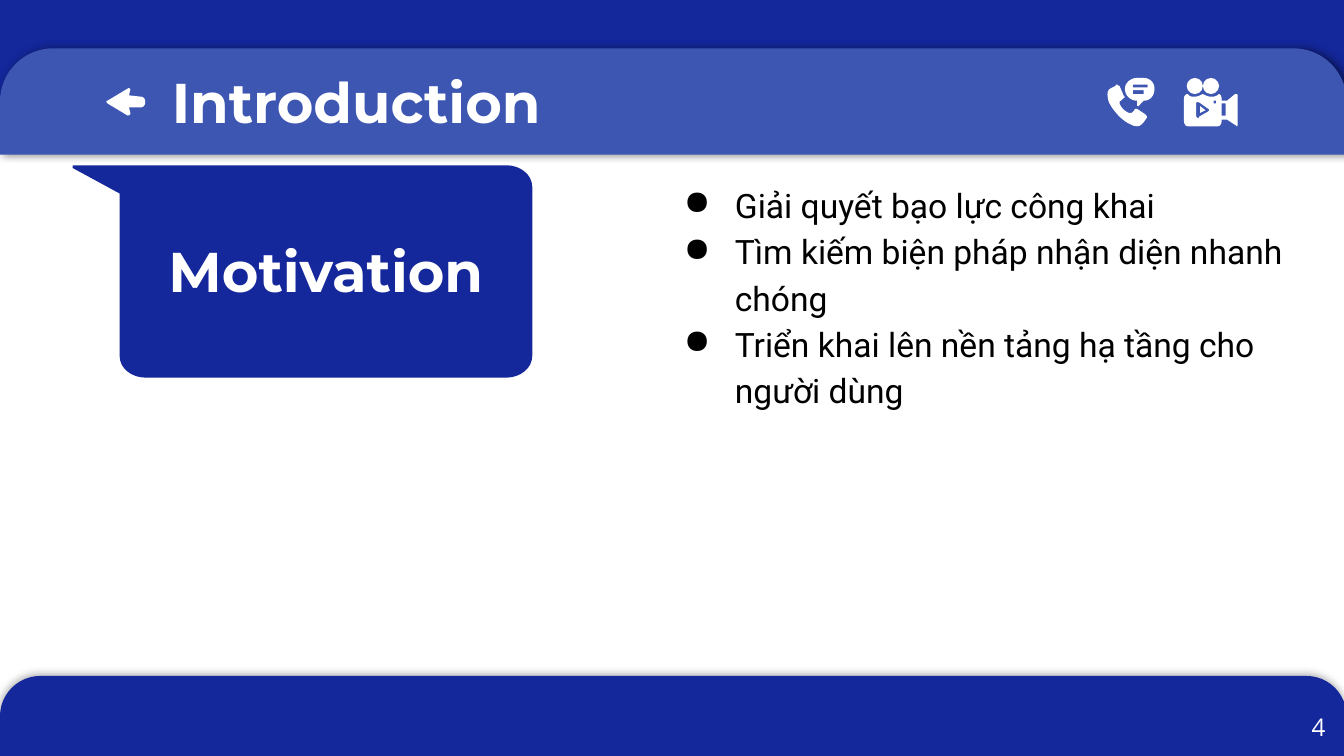
from lxml import etree
from pptx import Presentation
from pptx.dml.color import RGBColor
from pptx.enum.shapes import MSO_SHAPE
from pptx.enum.text import MSO_ANCHOR, PP_ALIGN
from pptx.oxml.ns import qn
from pptx.util import Inches, Pt

RECTANGLE, OVAL = MSO_SHAPE.RECTANGLE, MSO_SHAPE.OVAL
ROUND_TOP = MSO_SHAPE.ROUND_2_SAME_RECTANGLE
TOP, MIDDLE = MSO_ANCHOR.TOP, MSO_ANCHOR.MIDDLE
LEFT, CENTER, RIGHT = PP_ALIGN.LEFT, PP_ALIGN.CENTER, PP_ALIGN.RIGHT

NAVY, BLUE, WHITE, BLACK = "14279B", "3D56B2", "FFFFFF", "000000"
CURVE_STEPS = 8

# Outlines in hundredths of an inch: two numbers are a point, six a Bezier curve
ARROW = [[
    (0, 10), (-1, 10, -1, 11, 0, 12), (15, 21), (16, 21, 16, 21, 17, 20),
    (17, 19), (16, 15), (24, 15), (25, 15, 26, 15, 27, 14),
    (27, 14, 28, 13, 28, 12), (28, 10), (28, 8, 26, 7, 25, 7), (16, 6),
    (17, 2), (17, 1, 16, 0, 15, 1)]]
HANDSET = [[
    (8, 5), (7, 5, 7, 5, 7, 6), (3, 8), (0, 10, 1, 14, 2, 18),
    (5, 24, 11, 31, 17, 34), (19, 35, 21, 36, 23, 36),
    (25, 36, 26, 35, 28, 33), (30, 30), (31, 29, 30, 28, 29, 27), (23, 23),
    (22, 23), (22, 23, 21, 23, 21, 24), (19, 26), (17, 26),
    (14, 25, 11, 22, 10, 19), (10, 18, 10, 17, 11, 17), (13, 15),
    (14, 15, 14, 14, 13, 13), (10, 6), (9, 6, 9, 5, 8, 5)]]
BUBBLE = [
    [(23, 0), (18, 0, 14, 4, 14, 8), (14, 13, 18, 17, 23, 17), (23, 20),
     (23, 20, 23, 21, 24, 21), (28, 17), (33, 17, 36, 13, 36, 8),
     (36, 4, 33, 0, 28, 0)],
    [(20, 5), (31, 5), (31, 7), (20, 7)],
    [(20, 9), (28, 9), (28, 12), (20, 12)]]
CAMERA = [
    [(39, 12), (38, 12), (32, 17), (28, 17), (28, 15),
     (28, 14, 27, 12, 26, 12), (24, 14, 22, 14, 20, 14),
     (18, 14, 16, 13, 14, 12), (12, 13, 10, 14, 8, 14), (6, 14, 4, 14, 3, 12),
     (1, 12, 0, 14, 0, 15), (0, 32), (0, 34, 1, 36, 3, 36), (25, 36),
     (27, 36, 28, 34, 28, 32), (28, 31), (32, 31), (38, 35),
     (39, 35, 39, 36, 39, 36), (40, 36, 40, 35, 40, 34), (40, 13),
     (40, 12, 39, 12, 39, 12)],
    [(22, 17), (24, 17), (24, 19), (22, 19)],
    [(31, 19), (31, 28), (28, 28), (28, 19)],
    [(11, 18), (18, 23), (19, 23, 19, 24, 18, 25), (11, 29),
     (11, 30, 11, 30, 11, 30), (10, 30, 9, 29, 9, 28), (9, 19),
     (9, 18, 10, 18, 11, 18)]]
PLAY = [[(12, 21), (12, 26), (16, 24)]]
CALLOUT = [[
    (1, 0), (1, 0, 0, 0, 0, 1), (0, 2), (35, 21), (35, 142),
    (35, 151, 44, 158, 54, 158), (323, 158), (333, 158, 342, 151, 342, 142),
    (342, 16), (342, 7, 333, 0, 323, 0)]]


def color(value):
    return RGBColor.from_string(value)


def paint(shape, fill):
    shape.fill.solid()
    shape.fill.fore_color.rgb = color(fill)
    shape.line.fill.background()
    shape.shadow.inherit = False


def add_block(slide, kind, left, top, width, height, fill):
    shape = slide.shapes.add_shape(
        kind, Inches(left), Inches(top), Inches(width), Inches(height))
    paint(shape, fill)
    return shape


def add_round_top(slide, left, top, width, height, fill, opacity, direction):
    """Bar with round upper corners and a soft shadow."""
    shape = add_block(slide, ROUND_TOP, left, top, width, height, fill)
    shape.adjustments[0] = 0.5
    effects = shape._element.spPr.find(qn("a:effectLst"))
    shadow = etree.SubElement(
        effects, qn("a:outerShdw"), blurRad=str(Pt(4.5)), dist=str(Pt(1.5)),
        dir=str(direction * 60000), algn="bl", rotWithShape="0")
    shade = etree.SubElement(shadow, qn("a:srgbClr"), val=BLACK)
    etree.SubElement(shade, qn("a:alpha"), val=str(opacity * 1000))


def flatten(contour):
    """Turn points and curves into a list of points."""
    points = []
    for step in contour:
        if len(step) == 2:
            points.append(step)
            continue
        corners = [points[-1], step[:2], step[2:4], step[4:]]
        for index in range(1, CURVE_STEPS + 1):
            t = index / CURVE_STEPS
            weights = ((1 - t) ** 3, 3 * t * (1 - t) ** 2,
                       3 * t * t * (1 - t), t ** 3)
            points.append(tuple(
                sum(w * corner[axis] for w, corner in zip(weights, corners))
                for axis in (0, 1)))
    return points


def add_outline(slide, left, top, contours, fill):
    builder = None
    for contour in contours:
        points = [(Inches(left + x / 100), Inches(top + y / 100))
                  for x, y in flatten(contour)]
        if builder is None:
            builder = slide.shapes.build_freeform(*points[0])
        else:
            builder.move_to(*points[0])
        builder.add_line_segments(points[1:], close=True)
    paint(builder.convert_to_shape(), fill)


def add_text(slide, left, top, width, height, lines, size, font, fill,
             align=LEFT, anchor=TOP, bold=False, bullet=None, spacing=None):
    box = slide.shapes.add_textbox(
        Inches(left), Inches(top), Inches(width), Inches(height))
    frame = box.text_frame
    frame.word_wrap = True
    frame.vertical_anchor = anchor
    frame.margin_left = frame.margin_right = Inches(0.1)
    frame.margin_top = frame.margin_bottom = Inches(0.1)
    for index, line in enumerate(lines):
        paragraph = frame.add_paragraph() if index else frame.paragraphs[0]
        paragraph.alignment = align
        paragraph.line_spacing = spacing
        if bullet:
            properties = paragraph._p.get_or_add_pPr()
            properties.set("marL", str(Inches(0.5)))
            properties.set("indent", str(Inches(-0.38)))
            bullet_color = etree.SubElement(properties, qn("a:buClr"))
            etree.SubElement(bullet_color, qn("a:srgbClr"), val=fill)
            etree.SubElement(properties, qn("a:buChar"), char=bullet)
        run = paragraph.add_run()
        run.text = line
        run.font.size = Pt(size)
        run.font.name = font
        run.font.bold = bold
        run.font.color.rgb = color(fill)


def add_header(slide, left, top, width):
    add_block(slide, RECTANGLE, left, top, width, 1.01, NAVY)
    add_round_top(slide, left, top + 0.36, width, 0.79, BLUE, 49, 0)
    add_text(slide, left + 1.18, top + 0.4, 8.03, 0.63, ["Introduction"],
             30, "Montserrat", WHITE, bold=True)
    add_outline(slide, left + 0.8, top + 0.65, ARROW, WHITE)
    # Phone and camera icons
    icon_top = top + 0.58
    for icon_left, contours in ((8.23, HANDSET), (8.23, BUBBLE),
                                (8.81, CAMERA), (8.81, PLAY)):
        add_outline(slide, left + icon_left, icon_top, contours, WHITE)
    for reel_left in (8.83, 8.95):
        add_block(slide, OVAL, left + reel_left, icon_top, 0.12, 0.12, WHITE)


def add_callout(slide, left, top):
    add_outline(slide, left, top, CALLOUT, NAVY)
    add_text(slide, left + 0.36, top + 0.43, 3.05, 0.72, ["Motivation"],
             30, "Montserrat", WHITE, align=CENTER, bold=True)


def add_goals(slide, left, top, width, height):
    goals = ["Giải quyết bạo lực công khai",
             "Tìm kiếm biện pháp nhận diện nhanh chóng",
             "Triển khai lên nền tảng hạ tầng cho người dùng"]
    add_text(slide, left, top, width, height, goals, 18, "Roboto", BLACK,
             bullet="●", spacing=1.15)


def add_footer(slide, left, top, width, height):
    add_round_top(slide, left, top, width, height, NAVY, 31, 237)
    add_text(slide, left + 9.36, top + 0.16, 0.6, 0.43, ["4"],
             13, "Open Sans", WHITE, align=RIGHT, anchor=MIDDLE)


def main():
    presentation = Presentation()
    # Widescreen, 16 by 9
    presentation.slide_width = Inches(10)
    presentation.slide_height = Inches(10) * 9 // 16
    slide = presentation.slides.add_slide(presentation.slide_layouts[6])
    add_footer(slide, 0, 5.03, 10.02, 0.6)
    add_header(slide, 0, 0, 10.02)
    add_goals(slide, 4.87, 1.23, 4.96, 3.72)
    add_callout(slide, 0.54, 1.23)
    presentation.save("out.pptx")


if __name__ == "__main__":
    main()
